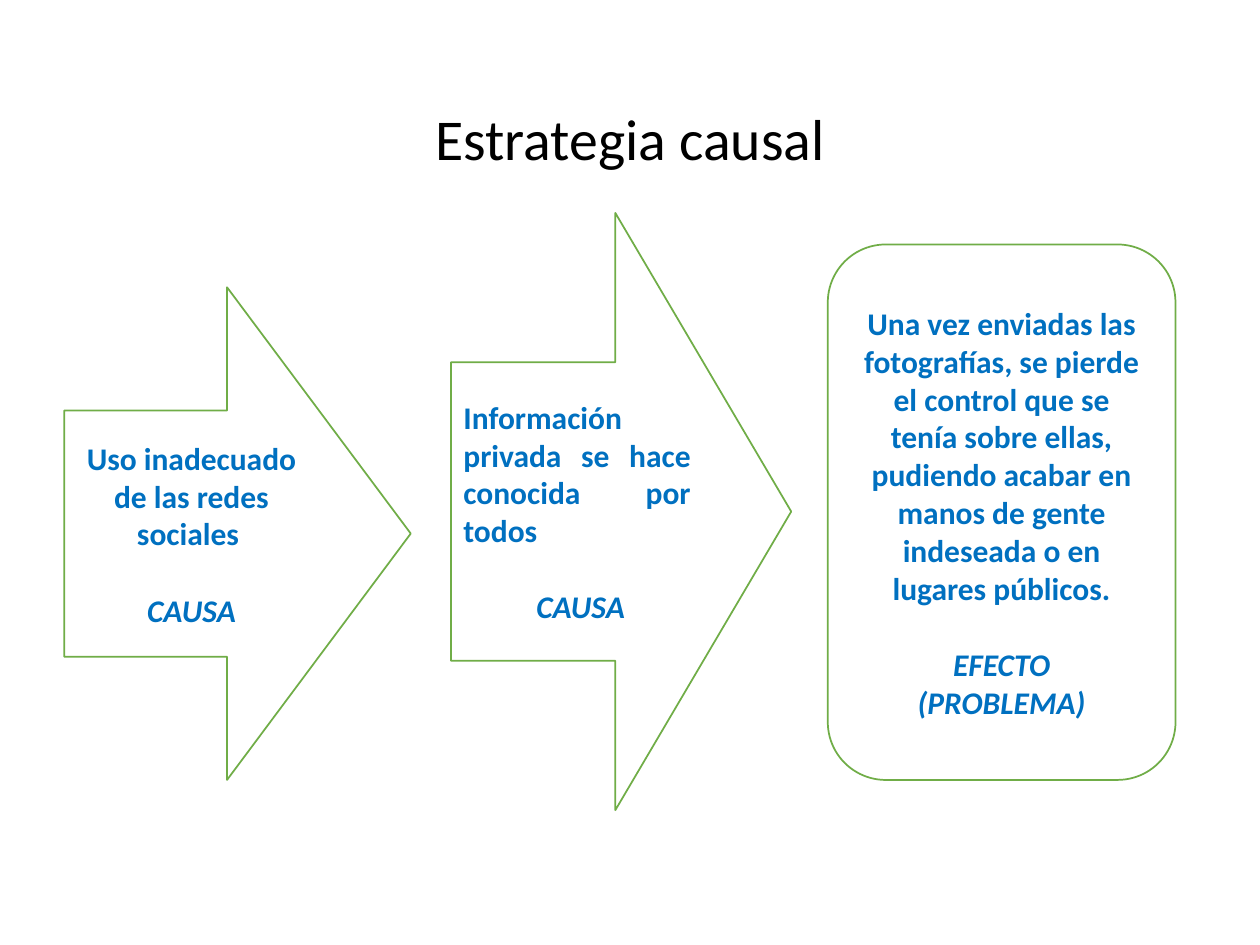
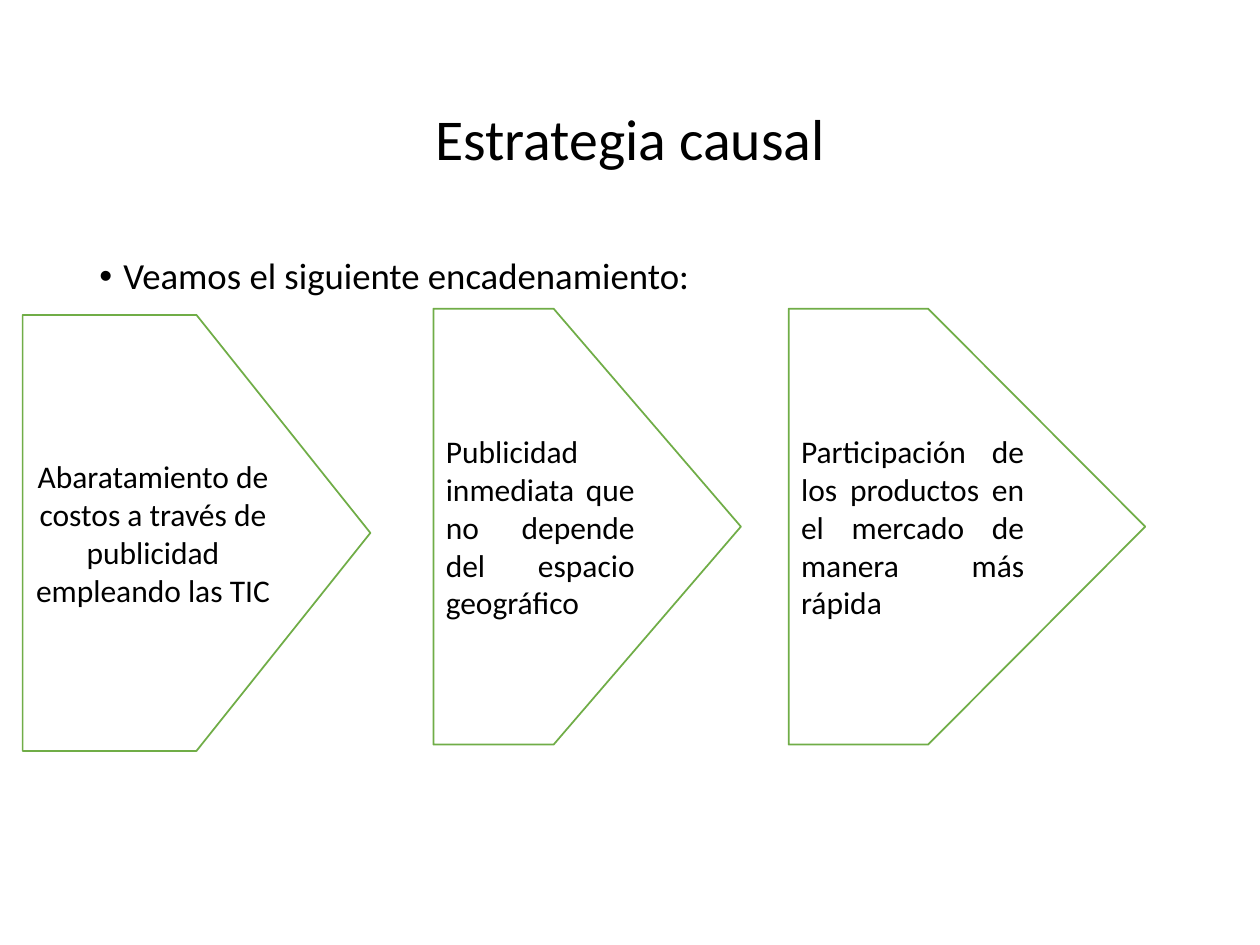
from lxml import etree
from pptx import Presentation
from pptx.dml.color import RGBColor
from pptx.enum.shapes import MSO_SHAPE
from pptx.enum.text import MSO_ANCHOR, PP_ALIGN
from pptx.oxml.ns import qn
from pptx.util import Inches, Pt

ARROW, ROUND, PLATE = MSO_SHAPE.RIGHT_ARROW, MSO_SHAPE.ROUNDED_RECTANGLE, MSO_SHAPE.PENTAGON
LEFT, CENTER, JUSTIFY = PP_ALIGN.LEFT, PP_ALIGN.CENTER, PP_ALIGN.JUSTIFY
TOP, MIDDLE = MSO_ANCHOR.TOP, MSO_ANCHOR.MIDDLE

BLACK, WHITE, GREEN, BLUE = "000000", "FFFFFF", "70AD47", "0070C0"
FONT = "Calibri"
GAP = Pt(22)  # one 18 pt line between a statement and its label

prs = Presentation()
prs.slide_width, prs.slide_height = Inches(10), Inches(7.5)
COL, ROW = prs.slide_width / 100, prs.slide_height / 75  # grid of 100 x 75 cells


def box(s, at, kind=None, adj=()):
    """Text box, or outlined shape, placed in grid cells."""
    x, y, w, h = at
    place = [int(v) for v in (x * COL, y * ROW, w * COL, h * ROW)]
    if kind is None:
        sp = s.shapes.add_textbox(*place)
    else:
        sp = s.shapes.add_shape(kind, *place)
        sp.shadow.inherit = False
        sp.fill.solid()
        sp.fill.fore_color.rgb = RGBColor.from_string(WHITE)
        sp.line.color.rgb = RGBColor.from_string(GREEN)
        sp.line.width = Pt(1)
        for i, value in enumerate(adj):
            sp.adjustments[i] = value
    return sp


def write(sp, paragraphs, size, color=BLACK, anchor=MIDDLE):
    """Each paragraph is (text, paragraph format, font format)."""
    tf = sp.text_frame
    tf.word_wrap, tf.vertical_anchor = True, anchor
    for i, (text, layout, style) in enumerate(paragraphs):
        p = tf.add_paragraph() if i else tf.paragraphs[0]
        for name, value in layout.items():
            setattr(p, name, value)
        r = p.add_run()
        r.text = text
        for name, value in {"name": FONT, "size": Pt(size), **style}.items():
            setattr(r.font, name, value)
        r.font.color.rgb = RGBColor.from_string(color)
    return tf


# Shared title
slides = [prs.slides.add_slide(prs.slide_layouts[6]) for _ in range(2)]
for s in slides:
    title = {"alignment": CENTER, "line_spacing": 0.9}
    write(box(s, (6.9, 4, 86.2, 14.5)), [("Estrategia causal", title, {})], 33)

# Slide 1: two causes lead to an effect
steps = [
    (ARROW, (5.1, 22.8, 27.5, 39.1), (0.5, 0.53), CENTER,
     "Uso inadecuado de las redes sociales ", ["CAUSA"]),
    (ARROW, (35.8, 16.9, 27, 47.4), (0.5, 0.517), JUSTIFY,
     "Información privada se hace conocida por todos", [" CAUSA"]),
    (ROUND, (65.7, 19.4, 27.6, 42.5), (), CENTER,
     "Una vez enviadas las fotografías, se pierde el control que se tenía sobre ellas, "
     "pudiendo acabar en manos de gente indeseada o en lugares públicos.",
     ["EFECTO", "(PROBLEMA)"]),
]
for kind, at, adj, align, text, labels in steps:
    paragraphs = [(text, {"alignment": align}, {"bold": True})]
    for i, label in enumerate(labels):
        layout = {"alignment": CENTER, "space_before": Pt(0) if i else GAP}
        paragraphs.append((label, layout, {"bold": True, "italic": True}))
    write(box(slides[0], at, kind, adj), paragraphs, 18, BLUE)

# Slide 2: bulleted lead-in
s = slides[1]
lead = {"alignment": LEFT, "line_spacing": 0.9, "space_before": Pt(7.5)}
tf = write(box(s, (6.9, 20, 86.2, 47.6)),
           [("Veamos el siguiente encadenamiento:", lead, {})], 21, anchor=TOP)
pPr = tf.paragraphs[0]._p.get_or_add_pPr()
pPr.set("marL", str(Inches(0.19)))
pPr.set("indent", str(-Inches(0.19)))
etree.SubElement(pPr, qn("a:buFont")).set("typeface", "Arial")
etree.SubElement(pPr, qn("a:buChar")).set("char", "•")

# Slide 2: chain of three steps
chain = [
    (1.8, 25, 27.6, 0.5, CENTER,
     "Abaratamiento de costos a través de publicidad empleando las TIC"),
    (34.4, 24.5, 24.4, 0.609, JUSTIFY,
     "Publicidad inmediata que no depende del espacio geográfico"),
    (62.6, 24.5, 28.3, 0.609, JUSTIFY,
     "Participación de los productos en el mercado de manera más rápida"),
]
for x, y, w, point, align, text in chain:
    write(box(s, (x, y, w, 34.6), PLATE, (point,)), [(text, {"alignment": align}, {})], 18)

prs.save("out.pptx")
